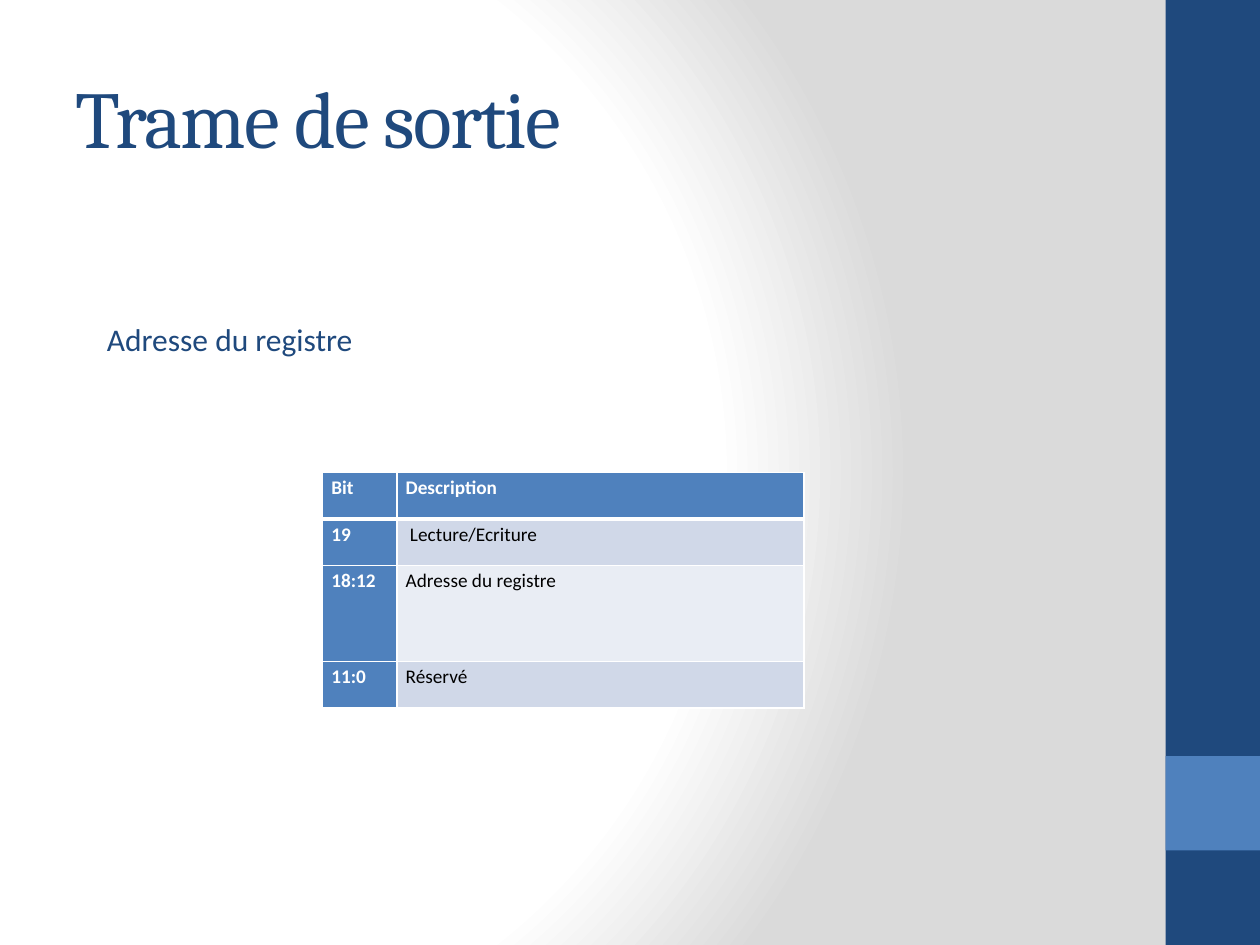
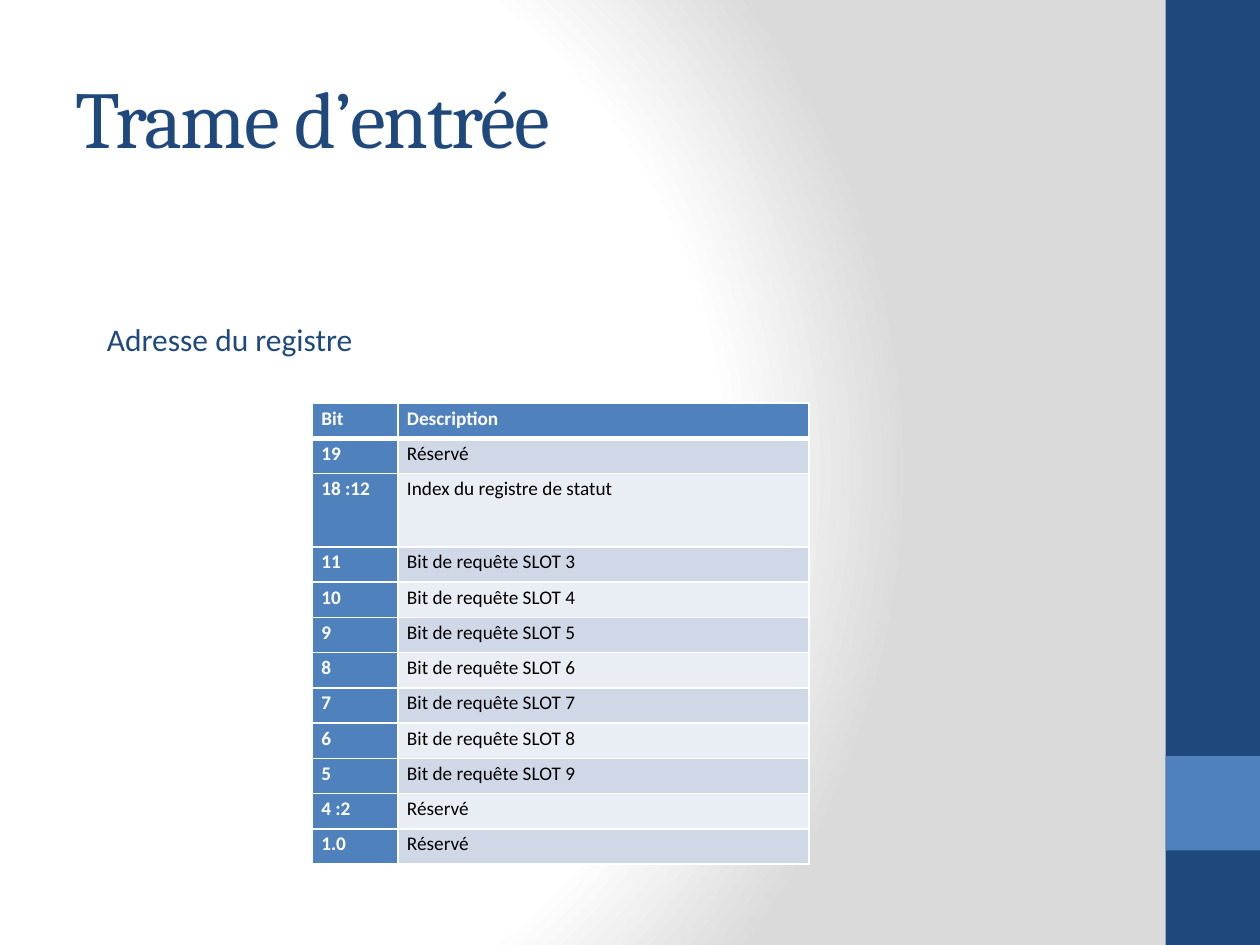
"""Build two slides that describe the output and input frames bit by bit."""
from dataclasses import dataclass

from pptx import Presentation
from pptx.dml.color import RGBColor as Color
from pptx.enum.shapes import MSO_SHAPE as Shape
from pptx.enum.text import MSO_ANCHOR as Anchor, MSO_AUTO_SIZE as AutoSize, PP_ALIGN as Align
from pptx.oxml import parse_xml
from pptx.oxml.ns import nsdecls, qn
from pptx.util import Inches, Pt


@dataclass(frozen=True)
class Theme:
    navy: str = "1F497D"
    blue: str = "4F81BD"
    white: str = "FFFFFF"
    black: str = "000000"
    gray: str = "DADADA"
    bands: tuple = ("D0D8E8", "E9EDF4")
    title_font: str = "Cambria"
    body_font: str = "Calibri"
    title_size: int = 46
    label_size: int = 18
    cell_size: int = 11


theme = Theme()


def add_span(para, text, font, size, color, bold=False):
    span = para.add_run()
    span.text = text
    span.font.name = font
    span.font.size = Pt(size)
    span.font.color.rgb = Color.from_string(color)
    span.font.bold = bold
    return span


def set_borders(cell, widths):
    properties = cell._tc.get_or_add_tcPr()
    for position, (side, width) in enumerate(widths.items()):
        properties.insert(position, parse_xml(
            f'<a:ln{side} {nsdecls("a")} w="{Pt(width)}"><a:solidFill>'
            f'<a:srgbClr val="{theme.white}"/></a:solidFill></a:ln{side}>'))


slot_rows = [(str(14 - slot), f"Bit de requête SLOT {slot}") for slot in range(3, 10)]
frames = [
    {
        "title": "Trame de sortie",
        "corner": (2.56, 3.75),
        "columns": (0.59, 3.23),
        "row_height": 0.37,
        "tall_height": 0.76,
        "rows": [("Bit", "Description"), ("19", " Lecture/Ecriture"),
                 ("18:12", "Adresse du registre"), ("11:0", "Réservé")],
    },
    {
        "title": "Trame d’entrée",
        "corner": (2.48, 3.2),
        "columns": (0.68, 3.26),
        "row_height": 0.28,
        "tall_height": 0.58,
        "rows": [("Bit", "Description"), ("19", "Réservé"),
                 ("18 :12", "Index du registre de statut"), *slot_rows,
                 ("4 :2", "Réservé"), ("1.0", "Réservé")],
    },
]
tall_row = 2

deck = Presentation()
deck.slide_width, deck.slide_height = Inches(10), Inches(7.5)

master = deck.slide_master
master.background.fill.solid()
plain_fill = master.element.find(".//" + qn("p:bgPr")).find(qn("a:solidFill"))
stops = "".join(
    f'<a:gs pos="{percent * 1000}"><a:srgbClr val="{color}"/></a:gs>'
    for percent, color in ((0, theme.white), (75, theme.white), (100, theme.gray)))
plain_fill.getparent().replace(plain_fill, parse_xml(
    f'<a:gradFill {nsdecls("a")} rotWithShape="1"><a:gsLst>{stops}</a:gsLst>'
    '<a:path path="circle"><a:fillToRect l="20000" t="50000" r="100000" b="50000"/>'
    '</a:path></a:gradFill>'))

for frame in frames:
    page = deck.slides.add_slide(deck.slide_layouts.get_by_name("Title Only"))

    for top, height, color in ((0, 7.5, theme.navy), (6, 0.75, theme.blue)):
        band = page.shapes.add_shape(
            Shape.RECTANGLE, Inches(9.25), Inches(top), Inches(0.75), Inches(height))
        band.shadow.inherit = False
        band.fill.solid()
        band.fill.fore_color.rgb = Color.from_string(color)
        band.line.fill.background()

    title = page.shapes.title
    title.left, title.top = Inches(0.5), Inches(0.3)
    title.width, title.height = Inches(8.33), Inches(1.25)
    title.text_frame.auto_size = AutoSize.NONE
    title.text_frame.vertical_anchor = Anchor.MIDDLE
    para = title.text_frame.paragraphs[0]
    para.alignment = Align.LEFT
    span = add_span(para, frame["title"], theme.title_font, theme.title_size, theme.navy)
    span.font._element.set("spc", "-100")

    label = page.shapes.add_textbox(Inches(0.75), Inches(2.49), Inches(2.29), Inches(0.4))
    label.text_frame.word_wrap = False
    label.text_frame.auto_size = AutoSize.SHAPE_TO_FIT_TEXT
    add_span(label.text_frame.paragraphs[0], "Adresse du registre ",
             theme.body_font, theme.label_size, theme.navy)

    rows, columns = frame["rows"], frame["columns"]
    heights = [frame["row_height"]] * len(rows)
    heights[tall_row] = frame["tall_height"]
    left, top = frame["corner"]
    table = page.shapes.add_table(
        len(rows), len(columns), Inches(left), Inches(top),
        Inches(sum(columns)), Inches(sum(heights))).table
    for column, width in zip(table.columns, columns):
        column.width = Inches(width)
    for row_index, (texts, height) in enumerate(zip(rows, heights)):
        table.rows[row_index].height = Inches(height)
        for column_index, text in enumerate(texts):
            heading = row_index == 0 or column_index == 0
            cell = table.cell(row_index, column_index)
            cell.margin_left = cell.margin_right = Inches(0.07)
            cell.margin_top = cell.margin_bottom = 0
            cell.fill.solid()
            cell.fill.fore_color.rgb = Color.from_string(
                theme.blue if heading else theme.bands[(row_index - 1) % 2])
            set_borders(cell, {"L": 1, "R": 1, "T": 3 if row_index == 1 else 1,
                               "B": 3 if row_index == 0 else 1})
            para = cell.text_frame.paragraphs[0]
            para.line_spacing = 1.15
            add_span(para, text, theme.body_font, theme.cell_size,
                     theme.white if heading else theme.black, heading)

deck.save("out.pptx")
